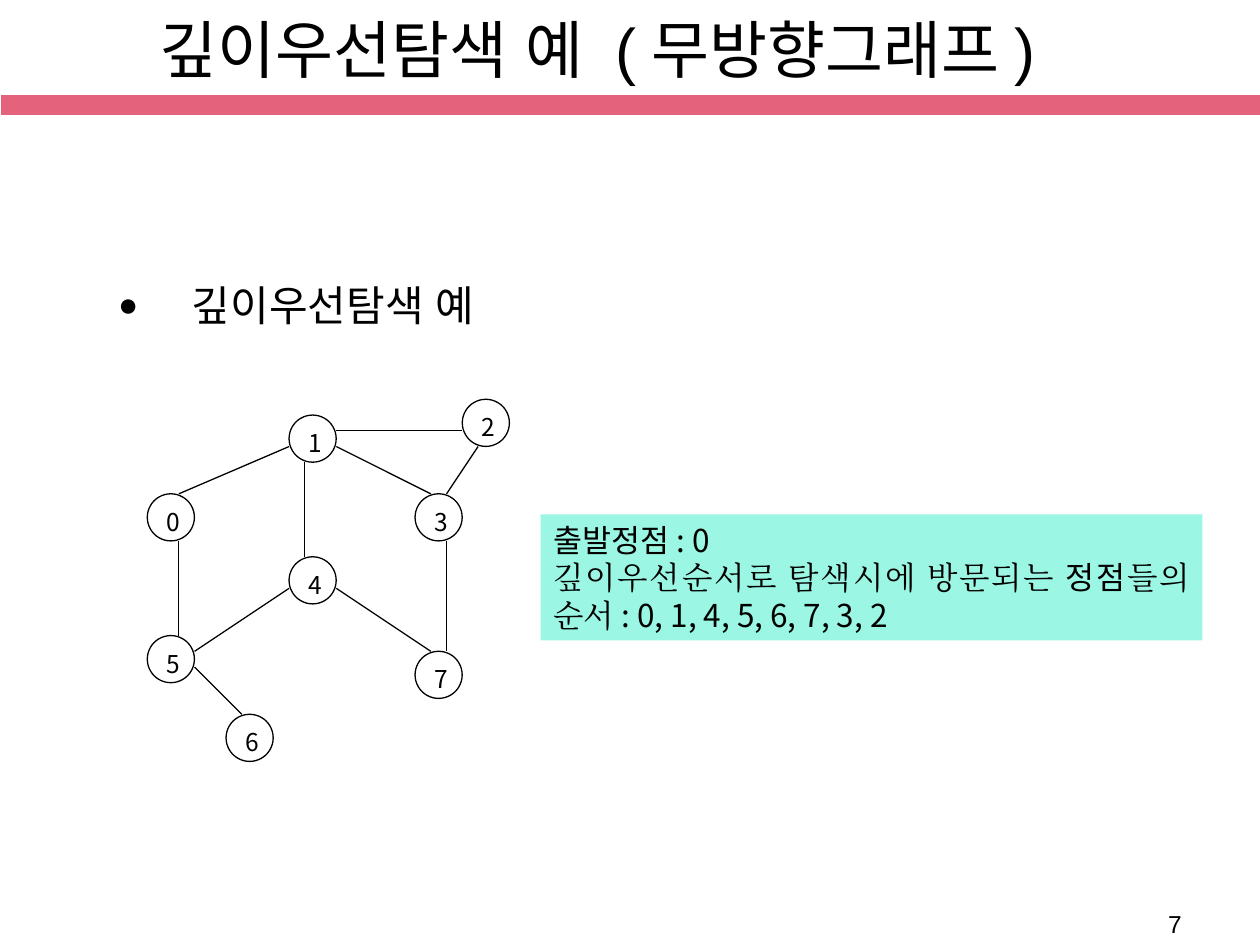
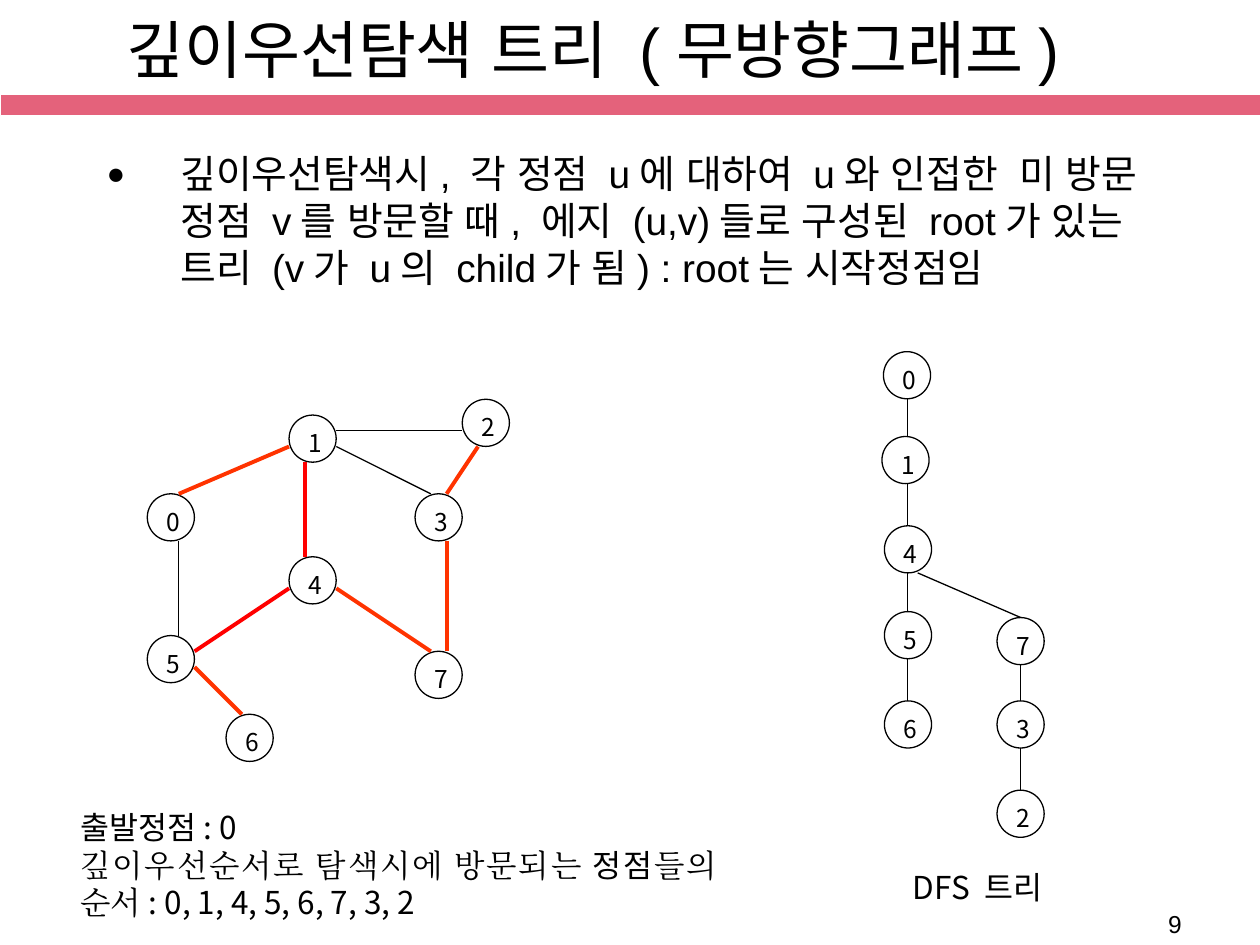
from lxml.etree import SubElement
from pptx import Presentation
from pptx.dml.color import RGBColor
from pptx.enum.shapes import MSO_CONNECTOR as Connector, MSO_SHAPE as Shape
from pptx.enum.text import MSO_ANCHOR as Anchor, PP_ALIGN as Align
from pptx.oxml.ns import qn
from pptx.util import Cm, Pt

# Shared style
BLACK, WHITE, BAND, MINT = "000000", "FFFFFF", "E4627B", "9BF7E3"
ORANGE, RED = "FF3300", "FF0000"
LATIN, KOREAN, SERIF = "Arial", "Noto Sans CJK KR", "Times New Roman"
NODE = 0.95

# Content: boxes are left, top, width, height in centimetres
SLIDES = [
    {"number": "7", "title": "깊이우선탐색 예 (무방향그래프)",
     "title_box": (2.97, 0.03, 19.15, 1.9),
     "bullet": "깊이우선탐색 예", "bullet_size": 24,
     "bullet_box": (2.13, 5.51, 21.59, 1.6),
     "order_box": (10.9, 10.37, 13.34, 2.54), "order_fill": MINT},
    {"number": "9", "title": "깊이우선탐색 트리 (무방향그래프)",
     "title_box": (2.29, 0.03, 20.4, 1.9),
     "bullet": "깊이우선탐색시, 각 정점 u에 대하여 u와 인접한  미 방문 정점 v를 방문할 때, "
               "에지 (u,v)들로 구성된 root가 있는 트리 (v가 u의 child가 됨) : root는 시작정점임",
     "bullet_size": 22.2, "bullet_box": (1.9, 2.9, 21.59, 3.89),
     "order_box": (1.37, 16.16, 13.34, 2.54), "order_fill": None},
]
VISIT_ORDER = [
    [("출발정점: 0", KOREAN)],
    [("깊이우선순서로 탐색시에 방문되는", SERIF), (" 정점", KOREAN),
     ("들의 순서", SERIF), (": 0, 1, 4, 5, 6, 7, 3, 2", KOREAN)],
]

# Graph on a grid: node corners, then edge ends with the colour of a tree edge
GRID = 2.54 / 8
GRAPH_LEFT, GRAPH_TOP = 2.97, 8.05
GRAPH_NODES = {"4": (9, 10), "1": (9, 1), "7": (17, 16), "5": (0, 15),
               "0": (0, 6), "3": (17, 6), "6": (5, 20), "2": (20, 0)}
GRAPH_EDGES = [
    ((2, 9), (2, 15), None), ((2, 6), (9, 3), ORANGE),
    ((10, 4), (10, 10), RED), ((9, 12), (3, 16), RED),
    ((3, 17), (6, 20), ORANGE), ((12, 12), (18, 16), ORANGE),
    ((12, 3), (18, 6), None), ((19, 9), (19, 16), ORANGE),
    ((12, 2), (20, 2), None), ((21, 3), (19, 6), ORANGE),
]

# Depth-first tree: node corners in centimetres, and parent-child pairs
TREE_NODES = {"0": (17.81, 7.09), "1": (17.78, 8.8), "4": (17.83, 10.6),
              "5": (17.83, 12.33), "6": (17.83, 14.13),
              "7": (20.1, 12.45), "3": (20.1, 14.13), "2": (20.1, 15.93)}
TREE_TRUNK, TREE_BRANCH = 18.3, 20.58
TREE_EDGES = ["01", "14", "45", "56", "47", "73", "32"]
BRANCH_SHIFT = 0.2
TREE_LABEL, TREE_LABEL_BOX = "DFS 트리", (18.15, 17.37, 5.31, 1.02)


def color(value):
    return RGBColor.from_string(value)


def lengths(box):
    return [Cm(value) for value in box]


def format_run(run, size, font=LATIN):
    run.font.size = Pt(size)
    run.font.name = font
    run.font.color.rgb = color(BLACK)
    SubElement(run._r.get_or_add_rPr(), qn("a:ea")).set("typeface", font)


def write(frame, lines, size, align=Align.LEFT):
    """Fill a text frame with paragraphs given as lists of (text, font)."""
    frame.word_wrap = True
    for index, pieces in enumerate(lines):
        paragraph = frame.add_paragraph() if index else frame.paragraphs[0]
        paragraph.alignment = align
        paragraph._p.get_or_add_pPr().set("hangingPunct", "0")
        for text, font in pieces:
            run = paragraph.add_run()
            run.text = text
            format_run(run, size, font)


def add_text(slide, box, lines, size, align=Align.LEFT, fill=None):
    shape = slide.shapes.add_textbox(*lengths(box))
    if fill:
        shape.fill.solid()
        shape.fill.fore_color.rgb = color(fill)
    write(shape.text_frame, lines, size, align)
    return shape


def add_shape(shapes, kind, box, fill, line, width):
    shape = shapes.add_shape(kind, *lengths(box))
    shape.shadow.inherit = False
    shape.fill.solid()
    shape.fill.fore_color.rgb = color(fill)
    shape.line.color.rgb = color(line)
    shape.line.width = Pt(width)
    return shape


def add_node(shapes, label, left, top):
    node = add_shape(shapes, Shape.OVAL, (left, top, NODE, NODE), WHITE, BLACK, 0.75)
    node.text_frame.vertical_anchor = Anchor.TOP
    write(node.text_frame, [[(label, KOREAN)]], 14, Align.JUSTIFY)


def add_edge(shapes, start, end, highlight=None):
    edge = shapes.add_connector(Connector.STRAIGHT, *lengths(start + end))
    edge.line.color.rgb = color(highlight or BLACK)
    edge.line.width = Pt(2.25 if highlight else 0.75)
    SubElement(edge._element.spPr, qn("a:effectLst"))


def add_frame(slide, content):
    """Band, page number and title, the same on every slide."""
    add_shape(slide.shapes, Shape.RECTANGLE, (0.01, 1.9, 25.4, 0.43), BAND, WHITE, 1)
    add_text(slide, (23.3, 18.21, 1.45, 0.86), [[(content["number"], LATIN)]], 14)
    title = slide.shapes.title
    title.left, title.top, title.width, title.height = lengths(content["title_box"])
    title.text_frame.vertical_anchor = Anchor.MIDDLE
    write(title.text_frame, [[(content["title"], LATIN)]], 36)


def add_bullet(slide, content):
    shape = add_text(slide, content["bullet_box"], [[(content["bullet"], LATIN)]],
                     content["bullet_size"])
    properties = shape.text_frame.paragraphs[0]._p.get_or_add_pPr()
    properties.set("marL", str(Cm(1.49)))
    properties.set("indent", str(-Cm(1.49)))
    bullet_color = SubElement(properties, qn("a:buClr"))
    SubElement(bullet_color, qn("a:srgbClr")).set("val", BLACK)
    SubElement(properties, qn("a:buSzPct")).set("val", "80000")
    SubElement(properties, qn("a:buFont")).set("typeface", LATIN)
    SubElement(properties, qn("a:buChar")).set("char", "●")


def add_graph(slide, show_tree):
    def place(column, row):
        return GRAPH_LEFT + column * GRID, GRAPH_TOP + row * GRID

    shapes = slide.shapes.add_group_shape().shapes
    for label, corner in GRAPH_NODES.items():
        add_node(shapes, label, *place(*corner))
    for start, end, highlight in GRAPH_EDGES:
        add_edge(shapes, place(*start), place(*end), highlight if show_tree else None)


def add_tree(slide):
    def center(label):
        return TREE_TRUNK if TREE_NODES[label][0] < TREE_TRUNK else TREE_BRANCH

    for label, corner in TREE_NODES.items():
        add_node(slide.shapes, label, *corner)
    for parent, child in TREE_EDGES:
        start, end = center(parent), center(child)
        if start != end:
            start += BRANCH_SHIFT
        add_edge(slide.shapes, (start, TREE_NODES[parent][1] + NODE),
                 (end, TREE_NODES[child][1]))
    add_text(slide, TREE_LABEL_BOX, [[(TREE_LABEL, KOREAN)]], 18, Align.JUSTIFY)


def main():
    presentation = Presentation()
    presentation.slide_width, presentation.slide_height = Cm(25.4), Cm(19.05)
    for content in SLIDES:
        slide = presentation.slides.add_slide(presentation.slide_layouts[5])
        has_tree = content["order_fill"] is None
        add_frame(slide, content)
        add_bullet(slide, content)
        add_graph(slide, has_tree)
        add_text(slide, content["order_box"], VISIT_ORDER, 18, Align.JUSTIFY,
                 content["order_fill"])
        if has_tree:
            add_tree(slide)
    presentation.save("out.pptx")


if __name__ == "__main__":
    main()
